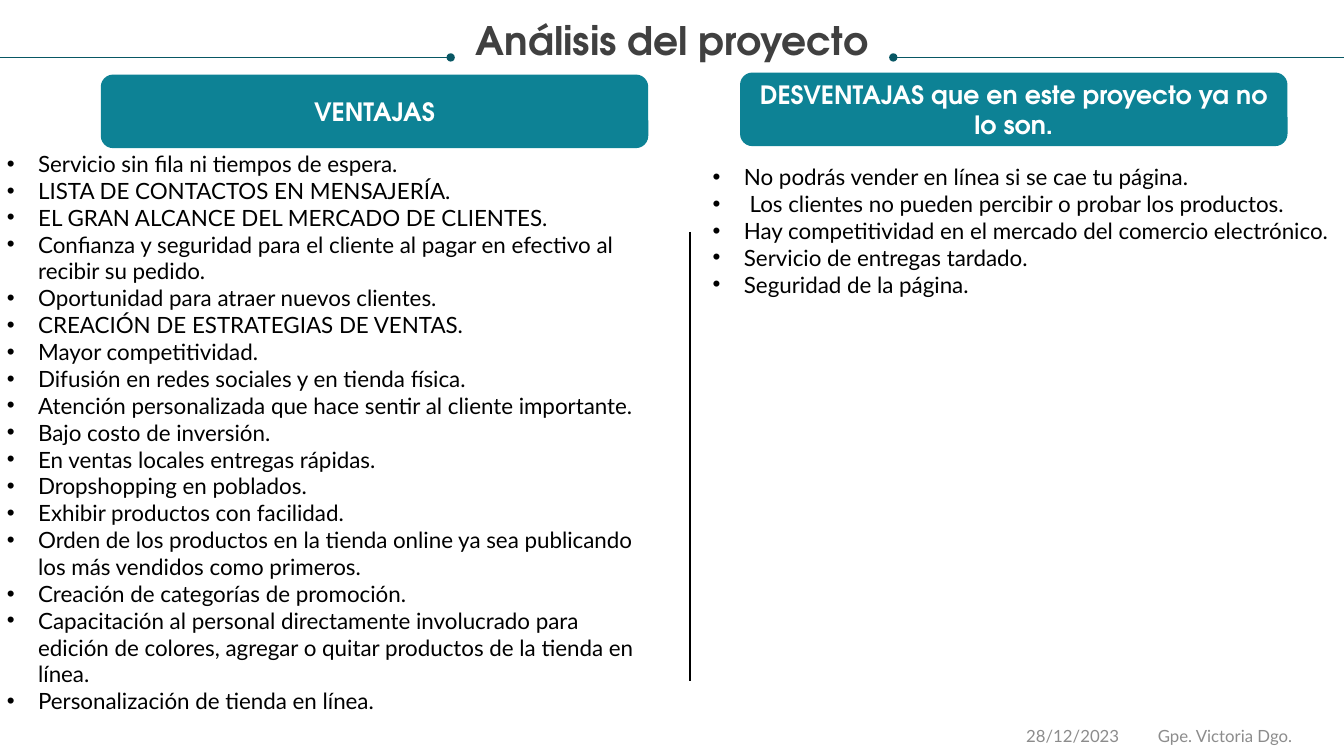
from dataclasses import dataclass

import pptx
import pptx.dml.color
import pptx.enum.shapes
import pptx.enum.text
import pptx.oxml
import pptx.oxml.ns
import pptx.util
from pptx.util import Inches

TEAL = pptx.dml.color.RGBColor(0x0D, 0x82, 0x95)
DARK_TEAL = pptx.dml.color.RGBColor(0x08, 0x57, 0x64)
CHARCOAL = pptx.dml.color.RGBColor(0x40, 0x40, 0x40)
GREY = pptx.dml.color.RGBColor(0x8C, 0x8C, 0x8C)
BLACK = pptx.dml.color.RGBColor(0, 0, 0)
WHITE = pptx.dml.color.RGBColor(0xFF, 0xFF, 0xFF)
HEADING_FONT = "TeX Gyre Adventor"
BODY_FONT = "Lato"
CENTER = pptx.enum.text.PP_ALIGN.CENTER
LEFT = pptx.enum.text.PP_ALIGN.LEFT
TOP = pptx.enum.text.MSO_ANCHOR.TOP
MIDDLE = pptx.enum.text.MSO_ANCHOR.MIDDLE
BULLET_INDENT = Inches(0.31)


@dataclass
class Rule:
    start: tuple[float, float]
    end: tuple[float, float]
    color: pptx.dml.color.RGBColor
    weight: float
    dot: str = ""


@dataclass
class Column:
    heading: str
    heading_at: tuple[float, float]
    points_at: tuple[float, float]
    points_height: float
    points: list[str]


@dataclass
class FooterNote:
    text: str
    left: float
    width: float
    align: pptx.enum.text.PP_ALIGN


RULES = [
    Rule((8.86, 0.57), (13.33, 0.57), DARK_TEAL, 0.5, "headEnd"),
    Rule((0, 0.57), (4.47, 0.57), DARK_TEAL, 0.5, "tailEnd"),
    Rule((6.84, 2.3), (6.84, 6.76), BLACK, 1.5),
]

COLUMNS = [
    Column("VENTAJAS", (1, 0.74), (-0.03, 1.44), 6.0, [
        "Servicio sin fila ni tiempos de espera.",
        "LISTA DE CONTACTOS EN MENSAJERÍA.",
        "EL GRAN ALCANCE DEL MERCADO DE CLIENTES.",
        "Confianza y seguridad para el cliente al pagar en efectivo al recibir su pedido.",
        "Oportunidad para atraer nuevos clientes.",
        "CREACIÓN DE ESTRATEGIAS DE VENTAS.",
        "Mayor competitividad.",
        "Difusión en redes sociales y en tienda física.",
        "Atención personalizada que hace sentir al cliente importante.",
        "Bajo costo de inversión.",
        "En ventas locales entregas rápidas.",
        "Dropshopping en poblados.",
        "Exhibir productos con facilidad.",
        "Orden de los productos en la tienda online ya sea publicando los más vendidos como primeros.",
        "Creación de categorías de promoción.",
        "Capacitación al personal directamente involucrado para edición de colores, "
        "agregar o quitar productos de la tienda en línea.",
        "Personalización de tienda en línea.",
    ]),
    Column("DESVENTAJAS que en este proyecto ya no lo son.", (7.34, 0.72), (6.97, 1.57), 2.32, [
        "No podrás vender en línea si se cae tu página.",
        " Los clientes no pueden percibir o probar los productos.",
        "Hay competitividad en el mercado del comercio electrónico.",
        "Servicio de entregas tardado.",
        "Seguridad de la página.",
    ]),
]

FOOTER_NOTES = [
    FooterNote("28/12/2023", 10.08, 1.2, LEFT),
    FooterNote("Gpe. Victoria Dgo.", 11.15, 2, CENTER),
]


def style(paragraph, font: str, size: float, color: pptx.dml.color.RGBColor,
          bold: bool = False, align: pptx.enum.text.PP_ALIGN = LEFT) -> None:
    paragraph.alignment = align
    paragraph.font.name = font
    paragraph.font.size = pptx.util.Pt(size)
    paragraph.font.bold = bold
    paragraph.font.color.rgb = color


def add_bullet(paragraph) -> None:
    properties = paragraph._p.get_or_add_pPr()
    properties.set("marL", str(BULLET_INDENT))
    properties.set("indent", str(-BULLET_INDENT))
    for tag, attribute, value in (("buFont", "typeface", "Arial"), ("buChar", "char", "•")):
        mark = pptx.oxml.ns.qn(f"a:{tag}")
        properties.append(properties.makeelement(mark, {attribute: value}))


def write_title(slide) -> None:
    title = slide.shapes.title
    title.left, title.top = Inches(0.25), Inches(0.21)
    title.width, title.height = Inches(12.83), Inches(0.73)
    frame = title.text_frame
    frame.text = "Análisis del proyecto"
    frame.auto_size = pptx.enum.text.MSO_AUTO_SIZE.NONE
    frame.vertical_anchor = TOP
    frame.margin_left = frame.margin_right = frame.margin_top = frame.margin_bottom = 0
    frame.paragraphs[0].line_spacing = 0.9
    style(frame.paragraphs[0], HEADING_FONT, 28, CHARCOAL, True, CENTER)


def draw_rule(slide, rule: Rule) -> None:
    connector = slide.shapes.add_connector(
        pptx.enum.shapes.MSO_CONNECTOR.STRAIGHT,
        *(Inches(value) for value in rule.start + rule.end))
    connector.line.color.rgb = rule.color
    connector.line.width = pptx.util.Pt(rule.weight)
    if rule.dot:
        outline = connector.line._get_or_add_ln()
        outline.append(outline.makeelement(pptx.oxml.ns.qn(f"a:{rule.dot}"), {"type": "oval"}))
    properties = connector._element.spPr
    properties.append(properties.makeelement(pptx.oxml.ns.qn("a:effectLst"), {}))


def add_text_frame(slide, left: float, top: float, width: float, height: float):
    frame = slide.shapes.add_textbox(
        Inches(left), Inches(top), Inches(width), Inches(height)).text_frame
    frame.word_wrap = True
    return frame


def draw_column(slide, column: Column) -> None:
    left, top = column.heading_at
    banner = slide.shapes.add_shape(
        pptx.enum.shapes.MSO_SHAPE.ROUNDED_RECTANGLE,
        Inches(left), Inches(top), Inches(5.43), Inches(0.73))
    banner.shadow.inherit = False
    banner.fill.solid()
    banner.fill.fore_color.rgb = TEAL
    banner.line.fill.background()
    banner.text_frame.text = column.heading
    banner.text_frame.vertical_anchor = MIDDLE
    style(banner.text_frame.paragraphs[0], HEADING_FONT, 18, WHITE, True, CENTER)

    frame = add_text_frame(slide, *column.points_at, 6.42, column.points_height)
    frame.text = "\n".join(column.points)
    for paragraph in frame.paragraphs:
        add_bullet(paragraph)
        style(paragraph, BODY_FONT, 16, BLACK)


def draw_footer_note(slide, note: FooterNote) -> None:
    frame = add_text_frame(slide, note.left, 7.1, note.width, 0.4)
    frame.vertical_anchor = MIDDLE
    frame.text = note.text
    style(frame.paragraphs[0], BODY_FONT, 12, GREY, align=note.align)


def main() -> None:
    presentation = pptx.Presentation()
    presentation.slide_width = Inches(13.33)
    presentation.slide_height = Inches(7.5)
    slide = presentation.slides.add_slide(presentation.slide_layouts[5])
    write_title(slide)
    for rule in RULES:
        draw_rule(slide, rule)
    for column in COLUMNS:
        draw_column(slide, column)
    for note in FOOTER_NOTES:
        draw_footer_note(slide, note)
    presentation.save("out.pptx")


if __name__ == "__main__":
    main()
